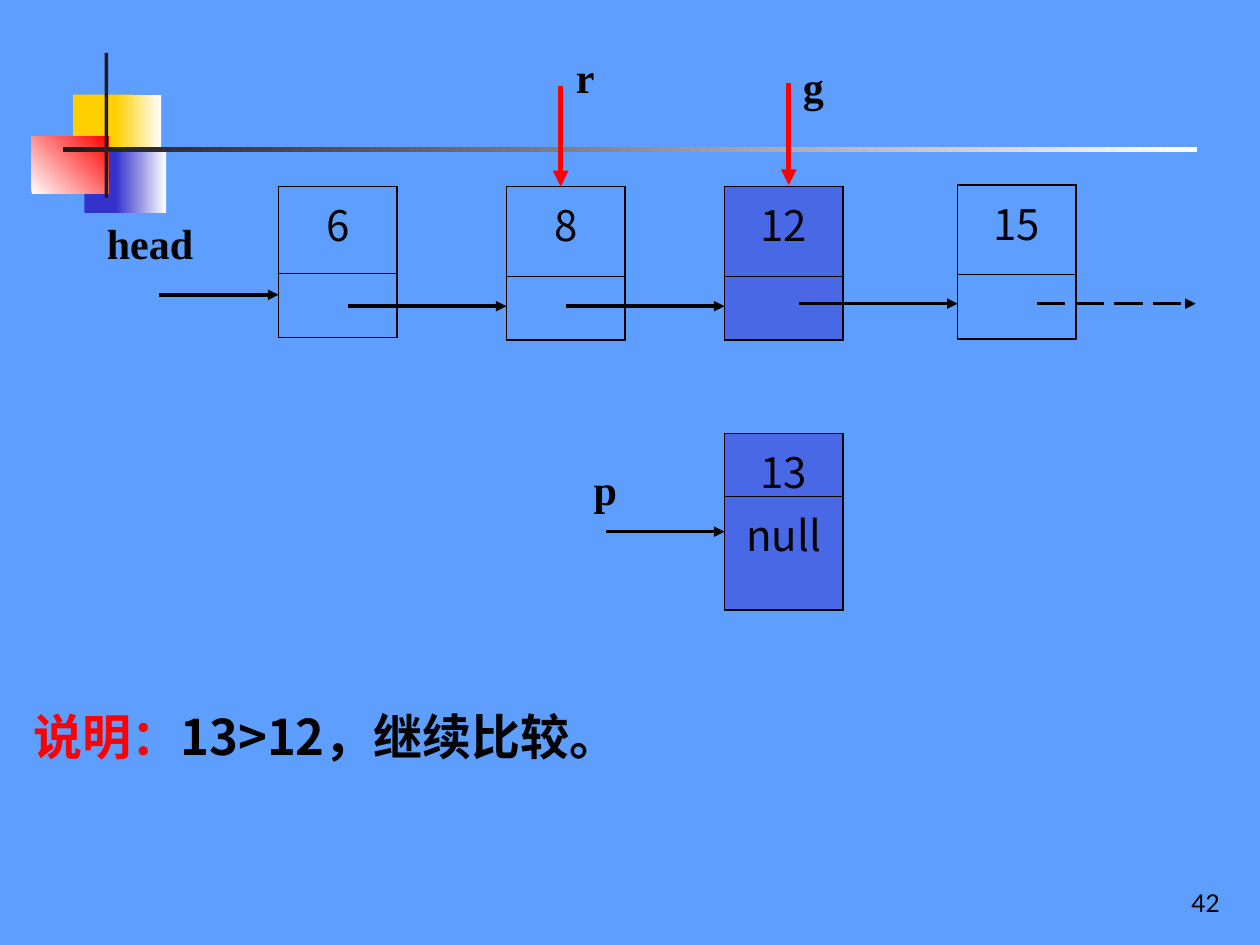
from dataclasses import dataclass

from lxml import etree
from pptx import Presentation
from pptx.dml.color import RGBColor
from pptx.enum.dml import MSO_LINE_DASH_STYLE as Dash
from pptx.enum.shapes import MSO_CONNECTOR, MSO_SHAPE
from pptx.enum.text import MSO_ANCHOR as Anchor, PP_ALIGN as Align
from pptx.oxml.ns import qn
from pptx.util import Inches, Pt


@dataclass(frozen=True)
class Theme:
    background: str = "5E9EFF"
    ink: str = "000000"
    red: str = "FF0000"
    blue: str = "3333CC"
    gold: str = "FFCF01"
    white: str = "FFFFFF"
    charcoal: str = "1C1C1C"
    node_font: str = "Noto Sans CJK SC"
    label_font: str = "Times New Roman"
    number_font: str = "Lato"
    number_size: int = 14
    node_size: int = 24
    note_size: int = 28


THEME = Theme()
NODE_WIDTH = 0.94
VALUE_HEIGHT, LINK_HEIGHT = 0.71, 0.51
LINK_LENGTH = 1.26


def rgb(color):
    return RGBColor.from_string(color)


def set_font(font, name, size, bold=False, color=THEME.ink):
    font.name, font.size, font.bold = name, Pt(size), bold
    font.color.rgb = rgb(color)


def add_block(slide, box, start, end=None, angle=0):
    """Plain rectangle, or a gradient one when an end colour is given."""
    block = slide.shapes.add_shape(MSO_SHAPE.RECTANGLE, *map(Inches, box))
    block.shadow.inherit = False
    block.line.fill.background()
    if end is None:
        block.fill.solid()
        block.fill.fore_color.rgb = rgb(start)
        return
    block.fill.gradient()
    block.fill.gradient_angle = angle
    for stop, color in zip(block.fill.gradient_stops, (start, end)):
        stop.color.rgb = rgb(color)


def add_decoration(slide):
    add_block(slide, (0.58, 0.75, 0.48, 0.52), THEME.gold)
    add_block(slide, (0.92, 0.75, 0.36, 0.52), THEME.gold, THEME.white)
    add_block(slide, (0.67, 1.17, 0.46, 0.52), THEME.blue)
    add_block(slide, (0.92, 1.17, 0.4, 0.52), THEME.blue, THEME.white)
    add_block(slide, (0.25, 1.08, 0.61, 0.46), THEME.white, THEME.red, angle=45)
    add_block(slide, (0.83, 0.42, 0.03, 1.15), THEME.charcoal)
    add_block(slide, (0.5, 1.17, 9, 0.04), THEME.charcoal, THEME.white)


def add_text_frame(slide, left, top, width, height):
    frame = slide.shapes.add_textbox(*map(Inches, (left, top, width, height))).text_frame
    frame.word_wrap = True
    return frame


def add_label(slide, text, left, top, align=Align.CENTER):
    paragraph = add_text_frame(slide, left, top, 1.03, 0.5).paragraphs[0]
    paragraph.text = text
    paragraph.alignment = align
    set_font(paragraph.font, THEME.label_font, THEME.node_size, bold=True)


def add_arrow(slide, start, end, color=THEME.ink, width=2, dash=None):
    arrow = slide.shapes.add_connector(
        MSO_CONNECTOR.STRAIGHT, *map(Inches, (*start, *end)))
    arrow.line.color.rgb = rgb(color)
    arrow.line.width = Pt(width)
    if dash is not None:
        arrow.line.dash_style = dash
    etree.SubElement(arrow.line._get_or_add_ln(), qn("a:tailEnd"), type="triangle")
    etree.SubElement(arrow._element.spPr, qn("a:effectLst"))


def add_borders(cell, top, bottom):
    properties = cell._tc.get_or_add_tcPr()
    for side, width in (("L", 1.08), ("R", 1.08), ("T", top), ("B", bottom)):
        border = etree.SubElement(properties, qn(f"a:ln{side}"), w=str(Pt(width)))
        fill = etree.SubElement(border, qn("a:solidFill"))
        etree.SubElement(fill, qn("a:srgbClr"), val=THEME.ink)


def fill_cell(cell, highlighted):
    if not highlighted:
        cell.fill.background()
        return
    cell.fill.solid()
    cell.fill.fore_color.rgb = rgb(THEME.blue)
    color = cell._tc.tcPr.find(qn("a:solidFill")).find(qn("a:srgbClr"))
    etree.SubElement(color, qn("a:alpha"), val="50000")


def add_node(slide, value, left, top, link="", highlighted=False,
             heights=(VALUE_HEIGHT, LINK_HEIGHT)):
    """List node: its value above its link field."""
    node = slide.shapes.add_table(
        2, 1, *map(Inches, (left, top, NODE_WIDTH, sum(heights)))).table
    node.first_row = node.horz_banding = False
    borders = ((1.08, 0.45), (0.45, 1.08))
    for row, text, height, border in zip(node.rows, (value, link), heights, borders):
        row.height = Inches(height)
        cell = row.cells[0]
        add_borders(cell, *border)
        fill_cell(cell, highlighted)
        if text:
            paragraph = cell.text_frame.paragraphs[0]
            paragraph.text = text
            paragraph.alignment = Align.CENTER
            set_font(paragraph.font, THEME.node_font, THEME.node_size)


def add_explanation(slide):
    paragraph = add_text_frame(slide, 0.17, 5.56, 9.4, 0.57).paragraphs[0]
    for text, color in (("说明：", THEME.red), ("13>12，继续比较。", THEME.ink)):
        run = paragraph.add_run()
        run.text = text
        set_font(run.font, THEME.node_font, THEME.note_size, bold=True, color=color)
        etree.SubElement(run._r.get_or_add_rPr(), qn("a:ea"), typeface=THEME.node_font)


def add_page_number(slide, number):
    frame = add_text_frame(slide, 7.7, 6.83, 2.08, 0.5)
    frame.vertical_anchor = Anchor.BOTTOM
    paragraph = frame.paragraphs[0]
    paragraph.text = number
    paragraph.alignment = Align.RIGHT
    set_font(paragraph.font, THEME.number_font, THEME.number_size)


def add_linked_list(slide):
    add_node(slide, "6", 2.21, 1.48, heights=(0.69, LINK_HEIGHT))
    add_node(slide, "8", 4.02, 1.48)
    add_node(slide, "12", 5.75, 1.48, highlighted=True)
    add_node(slide, "15", 7.6, 1.47)
    for left, y, dash in ((2.76, 2.43, None), (4.49, 2.43, None),
                          (6.34, 2.41, None), (8.23, 2.41, Dash.LONG_DASH)):
        add_arrow(slide, (left, y), (left + LINK_LENGTH, y), dash=dash)


def add_pointers(slide):
    add_label(slide, "head", 0.75, 1.68, Align.LEFT)
    add_arrow(slide, (1.26, 2.34), (2.21, 2.34))
    add_label(slide, "p", 4.29, 3.63)
    add_arrow(slide, (4.81, 4.22), (5.75, 4.22))
    for name, left, top, x, start, end in (("r", 4.13, 0.36, 4.45, 0.68, 1.48),
                                           ("g", 5.94, 0.43, 6.26, 0.66, 1.47)):
        add_label(slide, name, left, top)
        add_arrow(slide, (x, start), (x, end), THEME.red, 3)


def main():
    deck = Presentation()
    deck.slide_width, deck.slide_height = Inches(10), Inches(7.5)
    slide = deck.slides.add_slide(deck.slide_layouts[6])
    slide.background.fill.solid()
    slide.background.fill.fore_color.rgb = rgb(THEME.background)
    add_decoration(slide)
    add_page_number(slide, "42")
    add_linked_list(slide)
    add_node(slide, "13", 5.75, 3.44, "null", highlighted=True, heights=(0.5, 0.9))
    add_pointers(slide)
    add_explanation(slide)
    deck.save("out.pptx")


if __name__ == "__main__":
    main()
